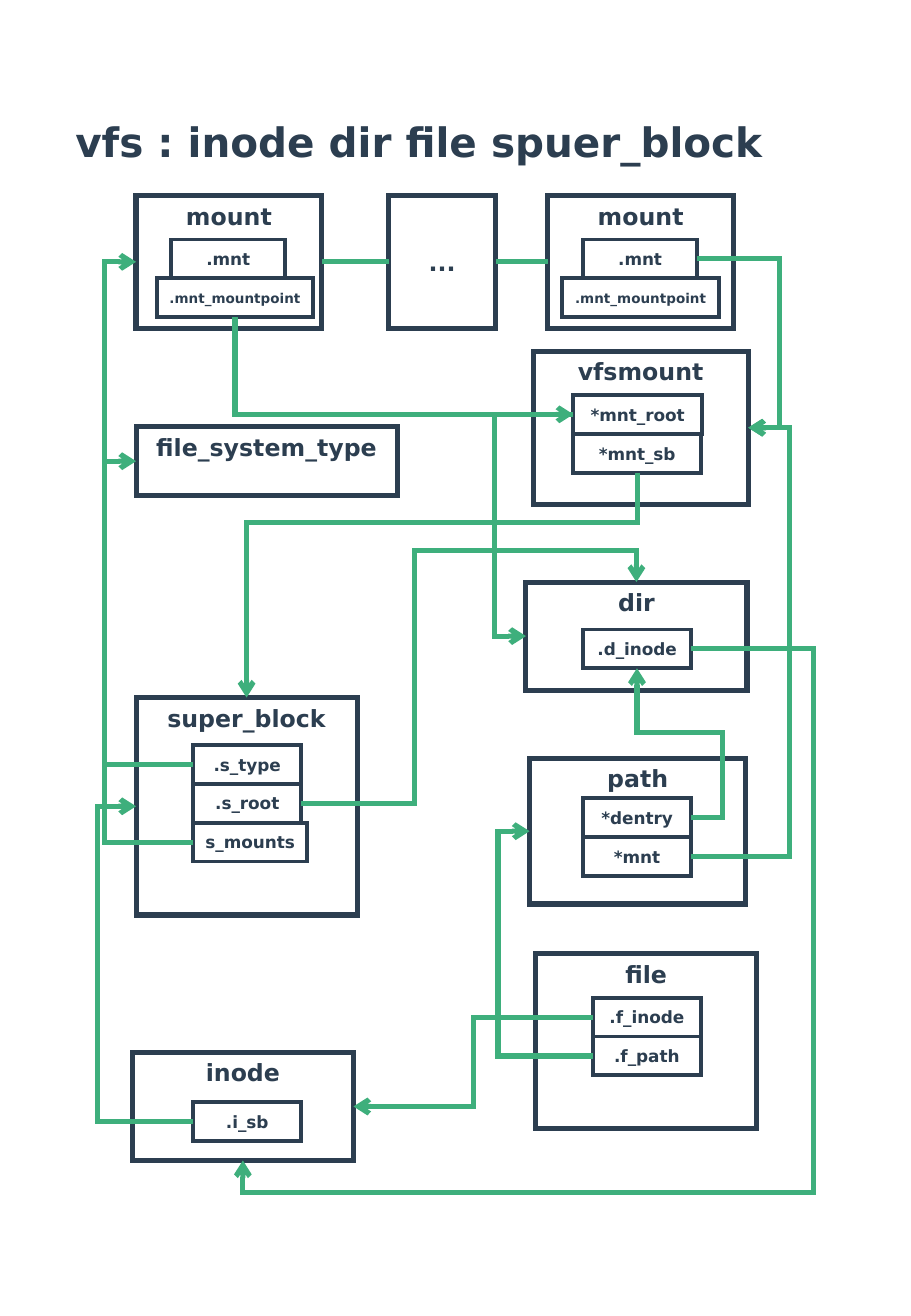
from dataclasses import dataclass

import pptx
import pptx.dml.color
import pptx.enum.shapes
import pptx.enum.text
import pptx.oxml.ns
import pptx.util
from lxml import etree

Inches = pptx.util.Inches
Pt = pptx.util.Pt
RGB = pptx.dml.color.RGBColor
Anchor = pptx.enum.text.MSO_ANCHOR
Align = pptx.enum.text.PP_ALIGN
Kind = pptx.enum.shapes.MSO_CONNECTOR
Shape = pptx.enum.shapes.MSO_SHAPE
qn = pptx.oxml.ns.qn


@dataclass(frozen=True)
class Theme:
    ink: RGB = RGB(0x2C, 0x3E, 0x50)
    green: RGB = RGB(0x3E, 0xAF, 0x7C)
    face: str = "DejaVu Sans"
    title: int = 24
    head: int = 14
    field: int = 10
    small: int = 8
    thick: float = 3
    thin: float = 2.25


THEME = Theme()
ROW = 0.32

# key, heading, left, top, width, height, top of fields, (field, left, width)
STRUCTS = [
    ("first", "mount", 1.12, 1.61, 1.53, 1.09, 1.97,
     [(".mnt", 1.41, 0.94), (".mnt_mountpoint", 1.29, 1.29)]),
    ("last", "mount", 4.51, 1.61, 1.53, 1.09, 1.97,
     [(".mnt", 4.8, 0.94), (".mnt_mountpoint", 4.63, 1.29)]),
    ("vfs", "vfsmount", 4.39, 2.89, 1.77, 1.26, 3.25,
     [("*mnt_root", 4.72, 1.06), ("*mnt_sb", 4.72, 1.05)]),
    ("type", "file_system_type", 1.12, 3.51, 2.15, 0.57, 0, []),
    ("dir", "dir", 4.33, 4.79, 1.82, 0.89, 5.18, [(".d_inode", 4.8, 0.89)]),
    ("super", "super_block", 1.12, 5.74, 1.82, 1.79, 6.13,
     [(".s_type", 1.59, 0.89), (".s_root", 1.59, 0.89), ("s_mounts", 1.59, 0.94)]),
    ("path", "path", 4.36, 6.24, 1.78, 1.2, 6.57,
     [("*dentry", 4.8, 0.89), ("*mnt", 4.8, 0.89)]),
    ("file", "file", 4.41, 7.85, 1.82, 1.44, 8.21,
     [(".f_inode", 4.88, 0.89), (".f_path", 4.88, 0.89)]),
    ("inode", "inode", 1.09, 8.66, 1.82, 0.89, 9.07, [(".i_sb", 1.59, 0.89)]),
]

# start, side, end, side, bends: run out of the start, then run across
LINKS = [
    ("dir.d_inode", "right", "inode", "bottom", (1.01, 4.47)),
    ("super.s_type", "left", "type", "left", (0.73,)),
    ("super.s_root", "right", "dir", "top", (0.93, -2.08)),
    ("file.f_inode", "left", "inode", "right", (0.98,)),
    ("inode.i_sb", "left", "super", "left", (0.79,)),
    ("file.f_path", "left", "path", "left", (0.78,)),
    ("path.dentry", "right", "dir.d_inode", "bottom", (0.26, -0.7)),
    ("path.mnt", "right", "vfs", "right", (0.81,)),
    ("vfs.mnt_sb", "bottom", "super", "top", (0.41,)),
    ("vfs.mnt_root", "left", "dir", "left", (0.65,)),
    ("super.s_mounts", "left", "first", "left", (0.73,)),
    ("last.mnt", "right", "vfs", "right", (0.68,)),
    ("first.mnt_mountpoint", "bottom", "vfs.mnt_root", "left", ()),
]

# side: connection site, share of width, share of height, turn in degrees
SIDES = {
    "top": (0, 0.5, 0, 270),
    "left": (1, 0, 0.5, 180),
    "bottom": (2, 0.5, 1, 90),
    "right": (3, 1, 0.5, 0),
}


def apply(item, look):
    for name, value in look.items():
        setattr(item, name, value)


def write(frame, text, size, align, look):
    apply(frame, look)
    par = frame.paragraphs[0]
    par.text = text
    par.alignment = align
    apply(par.font, {"name": THEME.face, "size": Pt(size), "bold": True})
    par.font.color.rgb = THEME.ink


def stroke(shape, color, width):
    """Set a plain line with sharp corners and return its element."""
    shape.line.color.rgb = color
    shape.line.width = Pt(width)
    line = shape.element.spPr.find(qn("a:ln"))
    etree.SubElement(line, qn("a:miter"), lim="800000")
    return line


def add_box(slide, text, area, size, width, anchor):
    box = slide.shapes.add_shape(Shape.RECTANGLE, *map(Inches, area))
    box.shadow.inherit = False
    box.fill.background()
    stroke(box, THEME.ink, width)
    look = {"word_wrap": True, "vertical_anchor": anchor,
            "margin_left": 0, "margin_right": 0}
    write(box.text_frame, text, size, Align.CENTER, look)
    return box


def add_struct(slide, boxes, key, head, *rest):
    """Draw a struct with its stacked fields and file the boxes by name."""
    *area, top, fields = rest
    boxes[key] = add_box(slide, head, area, THEME.head, THEME.thick, Anchor.TOP)
    for row, (name, left, width) in enumerate(fields):
        size = THEME.small if len(name) > 10 else THEME.field
        spot = (left, top + row * ROW, width, ROW)
        boxes[f"{key}.{name.strip('*.')}"] = add_box(
            slide, name, spot, size, THEME.thin, Anchor.MIDDLE)


def find_site(box, side):
    _, across, down, _ = SIDES[side]
    return box.left + box.width * across, box.top + box.height * down


def add_link(slide, start, out, end, into, bends=None):
    """Join two boxes: straight without bends, else an elbow arrow."""
    (x1, y1), (x2, y2) = find_site(start, out), find_site(end, into)
    wide, high = x2 - x1, y2 - y1
    turn = SIDES[out][3]
    run, drop = {0: (wide, high), 90: (high, -wide),
                 180: (-wide, -high), 270: (-high, wide)}[turn]
    midx, midy = (x1 + x2) / 2, (y1 + y2) / 2
    ends = (midx - run / 2, midy - drop / 2, midx + run / 2, midy + drop / 2)
    kind = Kind.STRAIGHT if bends is None else Kind.ELBOW
    link = slide.shapes.add_connector(kind, *map(round, ends))
    props = link.element.spPr
    joint = link.element.nvCxnSpPr.cNvCxnSpPr
    for tag, box, side in (("a:stCxn", start, out), ("a:endCxn", end, into)):
        etree.SubElement(joint, qn(tag), id=str(box.shape_id),
                         idx=str(SIDES[side][0]))
    line = stroke(link, THEME.green, THEME.thick)
    if bends is not None:
        if turn:
            props.find(qn("a:xfrm")).set("rot", str(turn * 60000))
        geom = props.find(qn("a:prstGeom"))
        geom.set("prst", f"bentConnector{len(bends) + 2}")
        for old in list(geom):
            geom.remove(old)
        guides = etree.SubElement(geom, qn("a:avLst"))
        for num, (bend, span) in enumerate(zip(bends, (run, drop)), 1):
            share = round(Inches(bend) / span * 100000)
            etree.SubElement(guides, qn("a:gd"), name=f"adj{num}",
                             fmla=f"val {share}")
        etree.SubElement(line, qn("a:tailEnd"), type="arrow")
    etree.SubElement(props, qn("a:effectLst"))


def add_title(slide, text):
    title = slide.shapes.title
    apply(title, {"left": Inches(0.52), "top": Inches(0.91),
                  "width": Inches(5.87), "height": Inches(0.5)})
    look = {"word_wrap": False, "vertical_anchor": Anchor.TOP,
            "auto_size": pptx.enum.text.MSO_AUTO_SIZE.NONE}
    write(title.text_frame, text, THEME.title, Align.LEFT, look)


def main():
    deck = pptx.Presentation()
    apply(deck, {"slide_width": Inches(7.5), "slide_height": Inches(10.83)})
    slide = deck.slides.add_slide(deck.slide_layouts[5])
    add_title(slide, "vfs : inode dir file spuer_block")
    boxes = {}
    for struct in STRUCTS:
        add_struct(slide, boxes, *struct)
    more = add_box(slide, "...", (3.2, 1.61, 0.88, 1.09),
                   THEME.head, THEME.thick, Anchor.MIDDLE)
    add_link(slide, boxes["first"], "right", more, "left")
    add_link(slide, more, "right", boxes["last"], "left")
    for start, out, end, into, bends in LINKS:
        add_link(slide, boxes[start], out, boxes[end], into, bends)
    deck.save("out.pptx")


if __name__ == "__main__":
    main()
